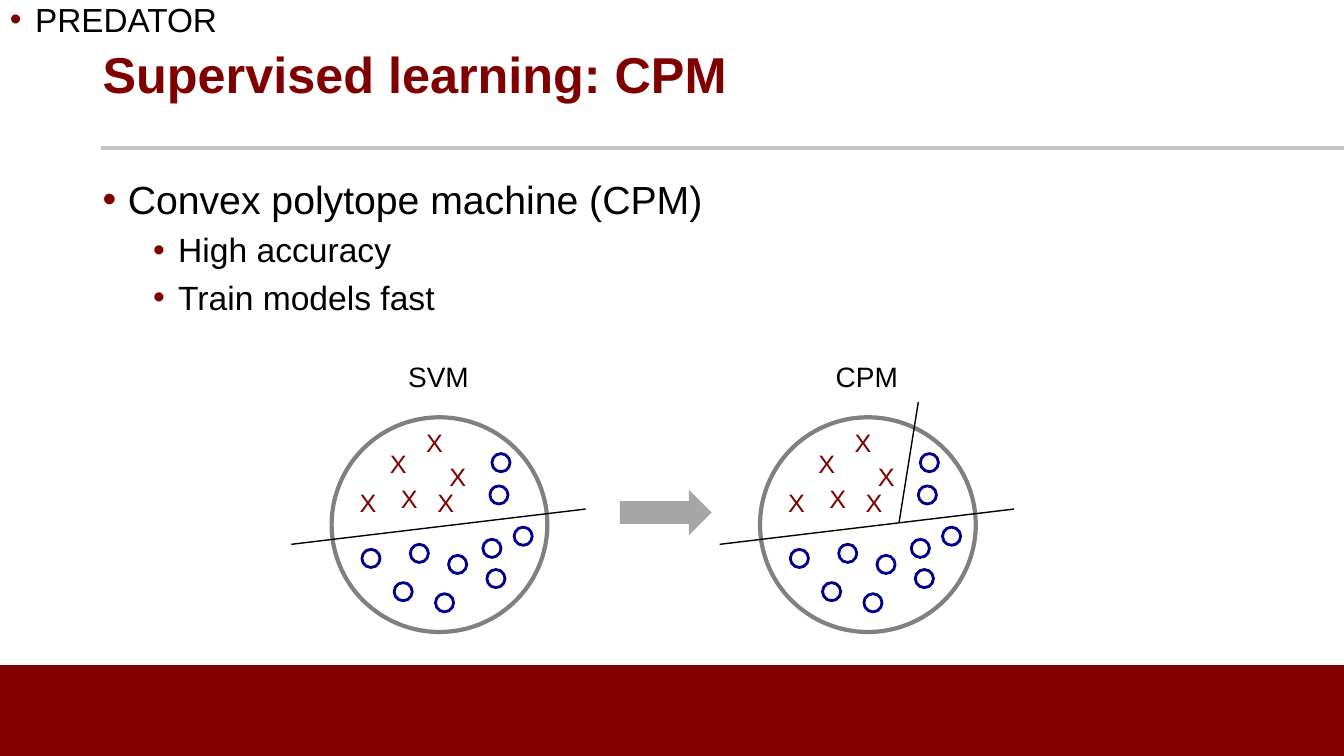
from pptx import Presentation
from pptx.dml.color import RGBColor
from pptx.enum.shapes import MSO_CONNECTOR, MSO_SHAPE
from pptx.enum.text import MSO_ANCHOR, MSO_AUTO_SIZE, PP_ALIGN
from pptx.oxml.ns import qn
from pptx.util import Inches, Pt
from lxml.etree import SubElement

COLS, ROWS = 133.33, 75
CELL = Inches(0.1)
FONT = "Arial"
COLORS = {
    "maroon": "800000",
    "rule": "C2C4C2",
    "ring": "808080",
    "navy": "000090",
    "arrow": "A6A6A6",
    "black": "000000",
}
CROSSES = [(9.4, 10.8), (11.9, 5.2), (13, 11.2), (8.3, 7.3),
           (5.3, 11.2), (14.2, 8.6)]
DOTS = [(7, 19.3), (10.2, 22.6), (11.8, 18.8), (19, 18.3), (19.4, 21.3),
        (14.3, 23.7), (19.9, 9.8), (19.7, 13), (15.6, 19.9), (22.1, 17.1)]
DIAGRAM_TOP = 35.2
SVM_LEFT, CPM_LEFT = 28.9, 71.4


def cells(*counts):
    return [round(n * CELL) for n in counts]


def color(name):
    return RGBColor.from_string(COLORS[name])


def add_figure(slide, kind, box, fill=None, line=None, width=1):
    sp = slide.shapes.add_shape(kind, *cells(*box))
    sp.shadow.inherit = False
    if fill:
        sp.fill.solid()
        sp.fill.fore_color.rgb = color(fill)
    else:
        sp.fill.background()
    if line:
        sp.line.color.rgb = color(line)
        sp.line.width = Pt(width)
    else:
        sp.line.fill.background()
    return sp


def add_line(slide, start, end, name="black", width=1):
    line = slide.shapes.add_connector(
        MSO_CONNECTOR.STRAIGHT, *cells(*start, *end))
    line.line.color.rgb = color(name)
    line.line.width = Pt(width)
    SubElement(line._element.spPr, qn("a:effectLst"))


def style(p, size, name="black", bold=False):
    for r in p.runs:
        r.font.name = FONT
        r.font.size = Pt(size)
        r.font.bold = bold
        r.font.color.rgb = color(name)


def add_text(slide, box, text, size, name="black", wrap=True, bold=False,
             align=PP_ALIGN.LEFT, anchor=MSO_ANCHOR.TOP, grow=False):
    tf = slide.shapes.add_textbox(*cells(*box)).text_frame
    tf.text = text
    tf.word_wrap = wrap
    tf.vertical_anchor = anchor
    tf.auto_size = MSO_AUTO_SIZE.SHAPE_TO_FIT_TEXT if grow else MSO_AUTO_SIZE.NONE
    for p in tf.paragraphs:
        p.alignment = align
        style(p, size, name, bold)
    return tf


def set_bullet(p, level, before):
    p.level = level
    p.space_before = Pt(before)
    pPr = p._p.get_or_add_pPr()
    pPr.set("marL", str(Inches(0.25 + 0.5 * level)))
    pPr.set("indent", str(-Inches(0.25)))
    bu_color = SubElement(pPr, qn("a:buClr"))
    SubElement(bu_color, qn("a:srgbClr")).set("val", COLORS["maroon"])
    SubElement(pPr, qn("a:buFont")).set("typeface", FONT)
    SubElement(pPr, qn("a:buChar")).set("char", "•")


def add_bullets(slide, box, items, spacing=None):
    tf = add_text(slide, box, "\n".join(item[0] for item in items), 24)
    for p, (_, level, size, before) in zip(tf.paragraphs, items):
        if spacing:
            p.line_spacing = spacing
        style(p, size)
        set_bullet(p, level, before)


def add_classifier(slide, left, label):
    top = DIAGRAM_TOP
    add_figure(slide, MSO_SHAPE.OVAL, (left + 4, top + 6.2, 21.4, 21.3),
               line="ring", width=3)
    for x, y in CROSSES:
        add_text(slide, (left + x - 0.1 + 0.6, top + y + 1.5, 3.7, 4), "X", 18,
                 "maroon", wrap=False, grow=True)
    for x, y in DOTS:
        add_figure(slide, MSO_SHAPE.OVAL, (left + x, top + y, 1.8, 1.8),
                   line="navy", width=2)
    add_line(slide, (left, top + 18.8), (left + 29.2, top + 15.3))
    add_text(slide, (left + 9.05, top, 11.1, 4.4), label, 20,
             align=PP_ALIGN.CENTER, grow=True)


def main():
    prs = Presentation()
    prs.slide_width, prs.slide_height = cells(COLS, ROWS)
    slide = prs.slides.add_slide(prs.slide_layouts[6])

    add_figure(slide, MSO_SHAPE.RECTANGLE, (0, 66, COLS, 9), fill="maroon")
    add_line(slide, (10, 14.7), (COLS, 14.7), "rule", 3)
    add_text(slide, (9.2, 0, 115, 14.5), "Supervised learning: CPM", 36,
             "maroon", bold=True, anchor=MSO_ANCHOR.MIDDLE)
    add_bullets(slide, (9.2, 16.9, 115, 45.5), [
        ("Convex polytope machine (CPM)", 0, 28, 10),
        ("High accuracy", 1, 24, 5),
        ("Train models fast", 1, 24, 5),
    ])
    add_bullets(slide, (0, 0.2, 25, 4.3), [("PREDATOR", 0, 23.8, 10)], 0.8)

    add_classifier(slide, SVM_LEFT, "SVM")
    add_classifier(slide, CPM_LEFT, "CPM")
    add_line(slide, (89.2, 51.8), (91.1, 39.9))
    add_figure(slide, MSO_SHAPE.RIGHT_ARROW, (61.5, 48.6, 9.1, 4.5),
               fill="arrow")
    prs.save("out.pptx")


if __name__ == "__main__":
    main()
